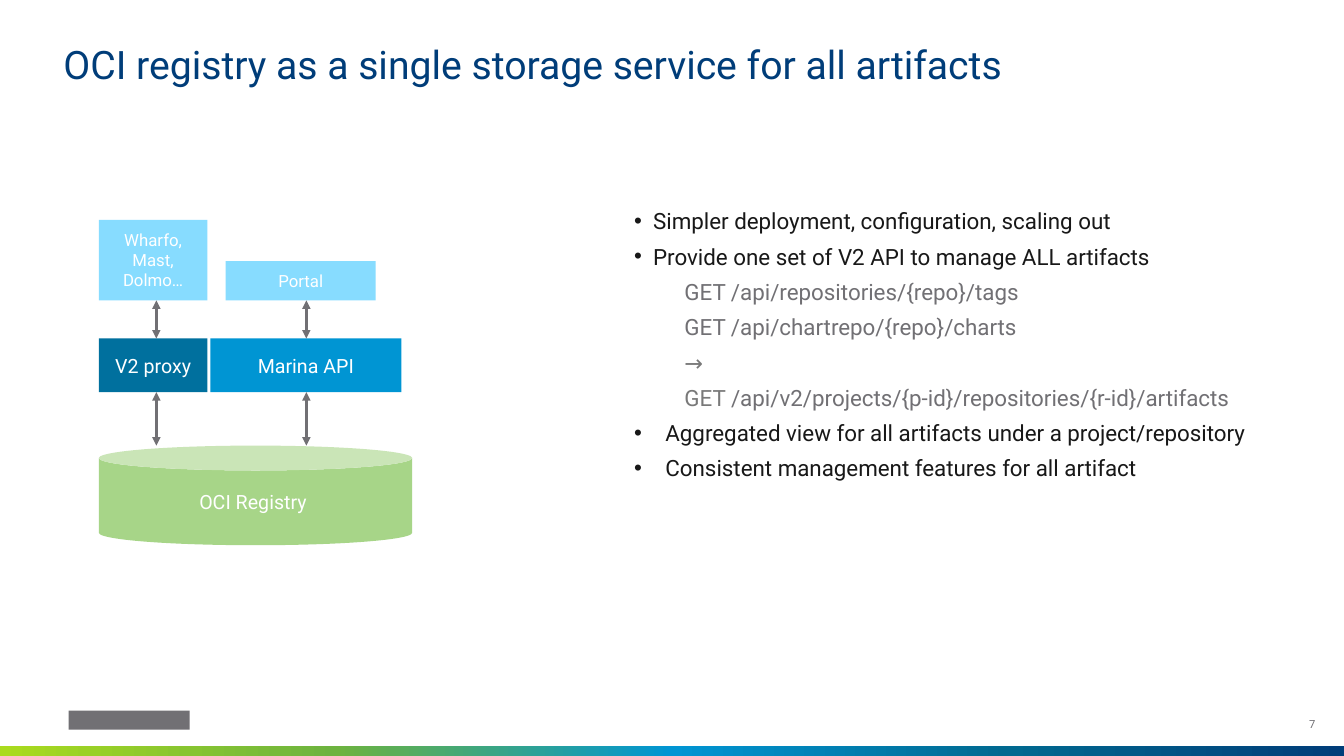
import pptx
import pptx.dml.color
import pptx.enum.dml
import pptx.enum.shapes
import pptx.enum.text
import pptx.oxml
import pptx.oxml.ns
import pptx.util
from dataclasses import dataclass

Cm = pptx.util.Cm
Pt = pptx.util.Pt
Shape = pptx.enum.shapes.MSO_SHAPE
Align = pptx.enum.text.PP_ALIGN
Anchor = pptx.enum.text.MSO_ANCHOR
Fit = pptx.enum.text.MSO_AUTO_SIZE


@dataclass(frozen=True)
class Theme:
    font: str = "Roboto"
    navy: str = "003D79"
    ink: str = "181818"
    grey: str = "717074"
    arrow_grey: str = "797979"
    white: str = "FFFFFF"
    sky: str = "87DCFF"
    blue: str = "0095D3"
    deep_blue: str = "00709E"
    green: str = "A7D588"
    stripe: tuple = ("AADB1E", "6DB33F", "0095D3", "006990", "003D79")
    title_size: int = 28
    body_size: int = 16
    label_size: int = 14
    small_size: int = 12
    number_size: int = 8


THEME = Theme()
NO_INSETS = dict.fromkeys(
    ("margin_left", "margin_top", "margin_right", "margin_bottom"), 0)


def apply_format(target, values):
    for name, value in values.items():
        setattr(target, name, value)


def rgb(code):
    return pptx.dml.color.RGBColor.from_string(code)


def make_xml(tag, attributes=""):
    namespace = pptx.oxml.ns.nsdecls("a")
    return pptx.oxml.parse_xml(f"<a:{tag} {namespace} {attributes}/>")


def add_span(para, text, size, color):
    span = para.add_run()
    span.text = text
    apply_format(span.font, {"name": THEME.font, "size": Pt(size)})
    span.font.color.rgb = rgb(color)


def add_text(page, frame, text, size, color, para_format, **frame_format):
    box = page.shapes.add_textbox(*map(Cm, frame))
    apply_format(box.text_frame, NO_INSETS | frame_format)
    para = box.text_frame.paragraphs[0]
    apply_format(para, {"line_spacing": 0.9} | para_format)
    add_span(para, text, size, color)


def add_block(page, kind, frame, fill, text="", size=THEME.label_size, after=0):
    block = page.shapes.add_shape(kind, *map(Cm, frame))
    block.shadow.inherit = False
    block.fill.solid()
    block.fill.fore_color.rgb = rgb(fill)
    block.line.fill.background()
    if text:
        apply_format(block.text_frame,
                     {"word_wrap": True, "vertical_anchor": Anchor.MIDDLE})
        para = block.text_frame.paragraphs[0]
        apply_format(para, {"alignment": Align.CENTER, "space_after": Pt(after)})
        add_span(para, text, size, THEME.white)
    return block


def add_double_arrow(page, x, top, bottom):
    arrow = page.shapes.add_connector(
        pptx.enum.shapes.MSO_CONNECTOR.STRAIGHT, Cm(x), Cm(top), Cm(x), Cm(bottom))
    arrow.line.color.rgb = rgb(THEME.grey)
    arrow.line.width = Pt(2)
    line = arrow.line._get_or_add_ln()
    for end in ("headEnd", "tailEnd"):
        line.append(make_xml(end, 'type="triangle"'))
    arrow._element.spPr.append(make_xml("effectLst"))


def add_stripe(page):
    stripe = add_block(page, Shape.RECTANGLE, (0, 18.8, 33.87, 0.25), THEME.blue)
    stripe.fill.gradient()
    stripe.fill.gradient_angle = 0
    stops = stripe._element.spPr.find(".//" + pptx.oxml.ns.qn("a:gsLst"))
    for stop in list(stops):
        stops.remove(stop)
    for index, color in enumerate(THEME.stripe):
        stop = make_xml("gs", f'pos="{index * 25000}"')
        stop.append(make_xml("srgbClr", f'val="{color}"'))
        stops.append(stop)


def add_points(page, frame, points):
    box = page.shapes.add_textbox(*map(Cm, frame))
    apply_format(box.text_frame,
                 NO_INSETS | {"word_wrap": True, "auto_size": Fit.SHAPE_TO_FIT_TEXT})
    for index, (level, indent, spans) in enumerate(points):
        para = box.text_frame.add_paragraph() if index else box.text_frame.paragraphs[0]
        apply_format(para, {"level": level, "space_after": Pt(6)})
        properties = para._p.get_or_add_pPr()
        properties.set("marL", str(Cm(indent)))
        properties.set("indent", str(0 if level else -Cm(indent)))
        if level:
            properties.append(make_xml("buNone"))
        else:
            properties.append(make_xml("buFont", 'typeface="Arial"'))
            properties.append(make_xml("buChar", 'char="•"'))
        for text, color in spans:
            add_span(para, text, THEME.body_size, color)


def add_diagram(page):
    left, client_width = 2.49, 2.74
    client_bottom, api_top, api_bottom, store_top = 7.57, 8.53, 9.88, 11.23
    api_height = api_bottom - api_top

    # Clients
    for x, width, height, name in ((left, client_width, 2.03, "Wharfo, Mast, Dolmo…"),
                                   (5.69, 3.78, 0.99, "Portal")):
        add_block(page, Shape.RECTANGLE, (x, client_bottom - height, width, height),
                  THEME.sky, name, THEME.small_size, after=6)

    # Services
    add_block(page, Shape.RECTANGLE, (left, api_top, client_width, api_height),
              THEME.deep_blue, "V2 proxy")
    add_block(page, Shape.RECTANGLE, (5.3, api_top, 4.82, api_height),
              THEME.blue, "Marina API")

    # Storage
    add_block(page, Shape.CAN, (left, store_top, 7.9, 2.51),
              THEME.green, "OCI Registry ", after=6)

    # Links between the layers
    for x in (3.94, 7.72):
        add_double_arrow(page, x, client_bottom, api_top)
        add_double_arrow(page, x, api_bottom, store_top)


def main():
    deck = pptx.Presentation()
    apply_format(deck, {"slide_width": Cm(33.87), "slide_height": Cm(19.05)})
    page = deck.slides.add_slide(deck.slide_layouts[6])

    # Footer
    add_stripe(page)
    add_block(page, Shape.RECTANGLE, (1.73, 17.91, 3.05, 0.48), THEME.grey)
    add_text(page, (31.93, 17.75, 1.22, 1.02), "7", THEME.number_size, THEME.grey,
             {"alignment": Align.RIGHT}, word_wrap=True,
             vertical_anchor=Anchor.MIDDLE)

    # Title
    add_text(page, (1.6, 1.14, 30.56, 1.07),
             "OCI registry as a single storage service for all artifacts",
             THEME.title_size, THEME.navy, {"alignment": Align.LEFT},
             word_wrap=True, vertical_anchor=Anchor.BOTTOM)

    add_diagram(page)

    # Benefits
    ink, grey, arrow_grey = THEME.ink, THEME.grey, THEME.arrow_grey
    add_points(page, (15.98, 5.23, 16.66, 6.96), (
        (0, 0.48, [("Simpler deployment, configuration, scaling out", ink)]),
        (0, 0.48, [("Provide one set of V2 API to manage ALL artifacts", ink)]),
        (1, 1.27, [("GET /api/repositories/{repo}/tags", grey)]),
        (1, 1.27, [("GET /api/chartrepo/{repo}/charts", grey)]),
        (1, 1.27, [("→", arrow_grey)]),
        (1, 1.27, [("GET ", arrow_grey),
                   ("/api/v2/projects/{p-id}/repositories/{r-id}/artifacts", grey)]),
        (0, 0.79, [("Aggregated view for all artifacts under a project/repository", ink)]),
        (0, 0.79, [("Consistent management features for all artifact", ink)]),
    ))

    deck.save("out.pptx")


if __name__ == "__main__":
    main()
